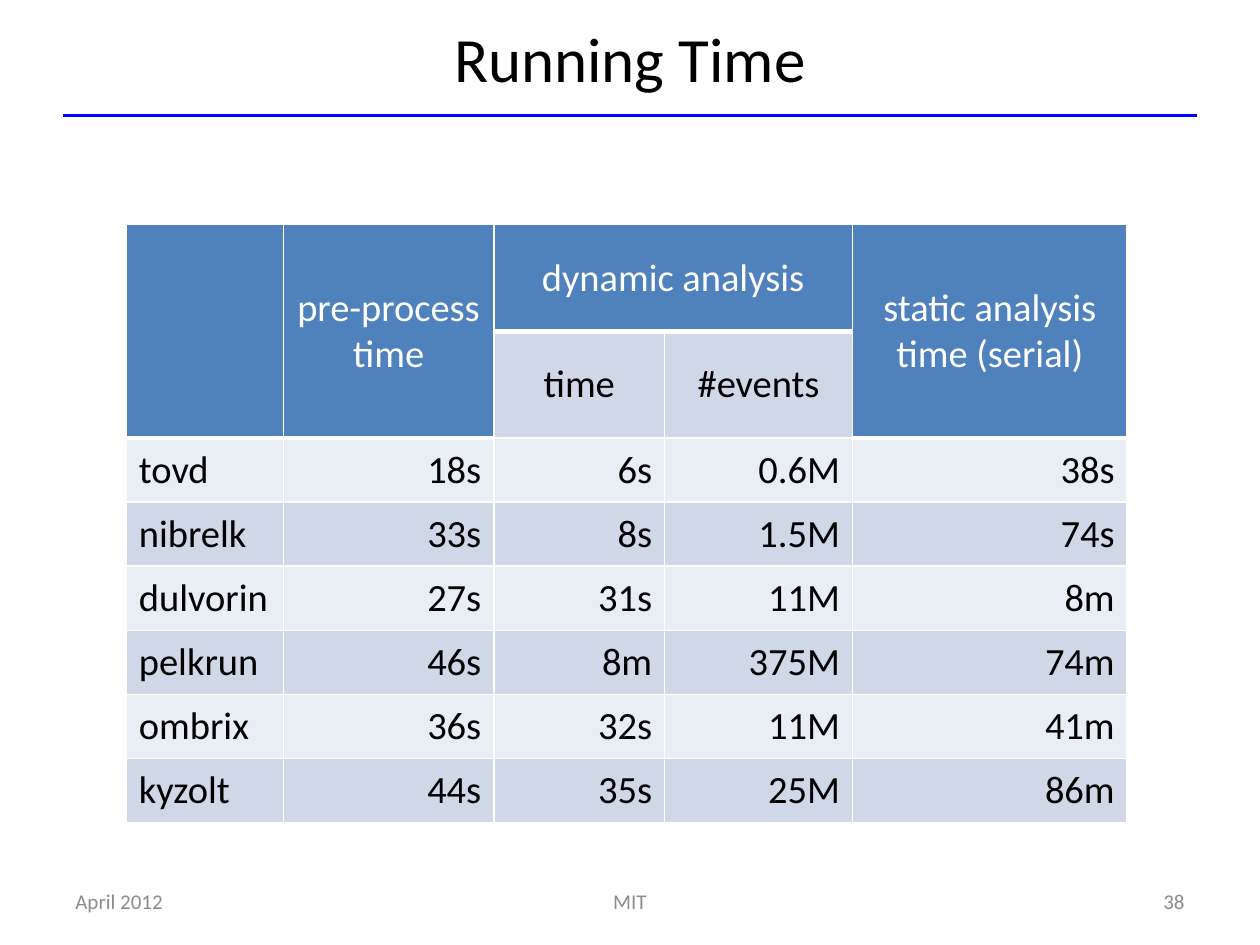
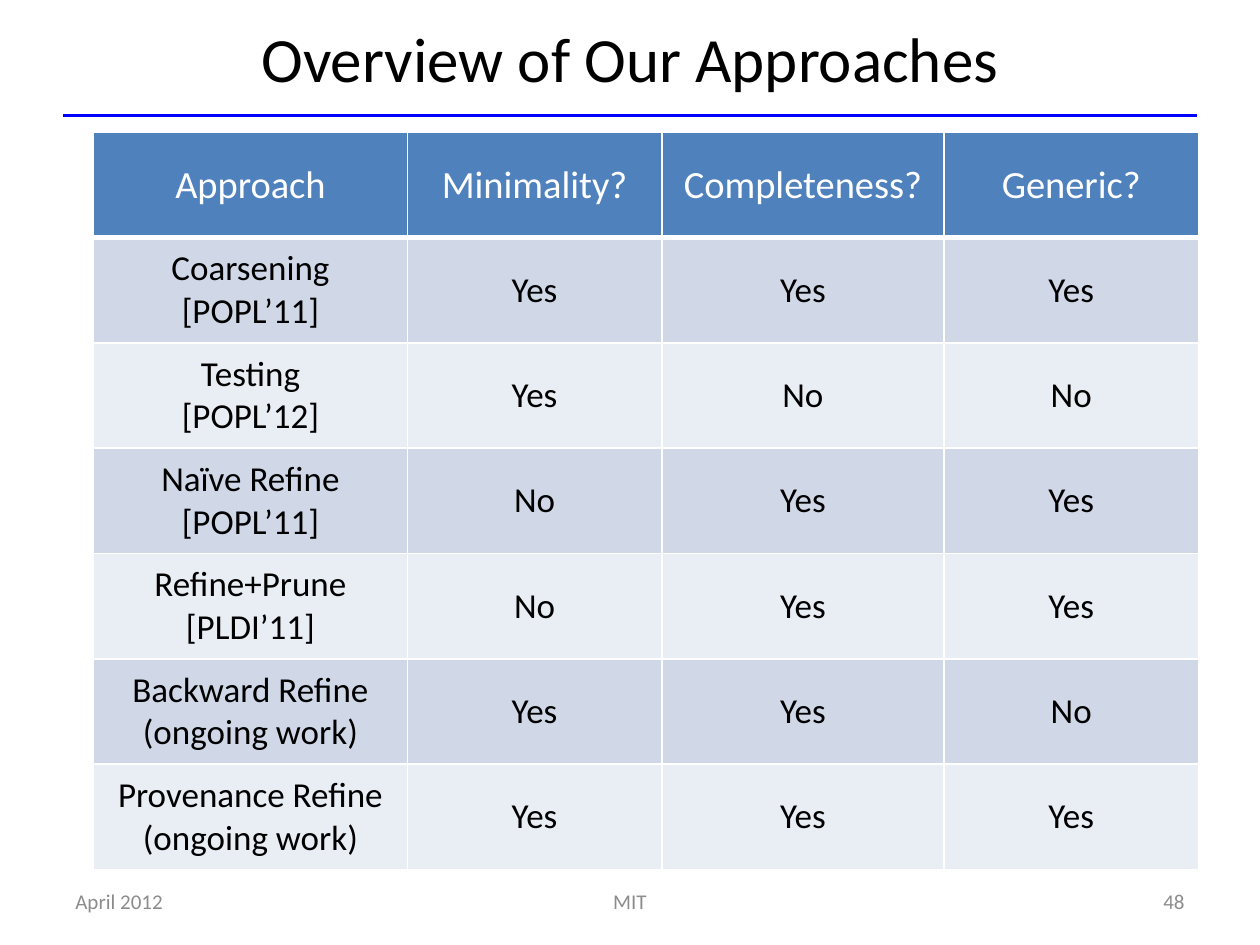
from lxml.etree import SubElement
from pptx import Presentation
from pptx.dml.color import RGBColor
from pptx.enum.shapes import MSO_CONNECTOR
from pptx.enum.text import MSO_ANCHOR, PP_ALIGN
from pptx.oxml.ns import qn
from pptx.util import Pt

COLORS = {
    "rule": "0000FF",
    "header": "4F81BD",
    "dark_band": "D0D8E8",
    "light_band": "E9EDF4",
    "text": "000000",
    "header_text": "FFFFFF",
    "border": "FFFFFF",
    "footer": "8C8C8C",
}
FONT = "Calibri"
LEFT, CENTER, RIGHT = PP_ALIGN.LEFT, PP_ALIGN.CENTER, PP_ALIGN.RIGHT
MARGIN, CONTENT_WIDTH, TITLE_HEIGHT = 36, 648, 66
FOOTER_TOP, FOOTER_HEIGHT = 500.4, 28.8
THIN, THICK = 1, 3

RUNNING_TIMES = [
    ["", "pre-process\vtime", "dynamic analysis", "", "static analysis time (serial)"],
    ["", "", "time", "#events", ""],
    ["tovd", "18s", "6s", "0.6M", "38s"],
    ["nibrelk", "33s", "8s", "1.5M", "74s"],
    ["dulvorin", "27s", "31s", "11M", "8m"],
    ["pelkrun", "46s", "8m", "375M", "74m"],
    ["ombrix", "36s", "32s", "11M", "41m"],
    ["kyzolt", "44s", "35s", "25M", "86m"],
]
TIME_SPANS = [((0, 0), (1, 0)), ((0, 1), (1, 1)), ((0, 2), (0, 3)), ((0, 4), (1, 4))]

APPROACHES = [
    ["Approach", "Minimality?", "Completeness?", "Generic?"],
    ["Coarsening\v[POPL’11]", "Yes", "Yes", "Yes"],
    ["Testing\v[POPL’12]", "Yes", "No", "No"],
    ["Naïve Refine\v[POPL’11]", "No", "Yes", "Yes"],
    ["Refine+Prune\v[PLDI’11]", "No", "Yes", "Yes"],
    ["Backward Refine\n(ongoing work)", "Yes", "Yes", "No"],
    ["Provenance Refine\v(ongoing work)", "Yes", "Yes", "Yes"],
]


def rgb(color):
    return RGBColor.from_string(COLORS[color])


def write_text(frame, text, size, color, align):
    frame.text = text
    font_format = {"name": FONT, "size": Pt(size), "bold": False}
    for para in frame.paragraphs:
        para.alignment = align
        for span in para.runs:
            for name, value in font_format.items():
                setattr(span.font, name, value)
            span.font.color.rgb = rgb(color)


def add_text(page, text, left, top, width, height, size, color, align):
    box = page.shapes.add_textbox(Pt(left), Pt(top), Pt(width), Pt(height))
    frame_format = {"word_wrap": True, "vertical_anchor": MSO_ANCHOR.MIDDLE}
    for name, value in frame_format.items():
        setattr(box.text_frame, name, value)
    write_text(box.text_frame, text, size, color, align)


def add_rule(page):
    rule = page.shapes.add_connector(
        MSO_CONNECTOR.STRAIGHT, Pt(MARGIN), Pt(TITLE_HEIGHT),
        Pt(MARGIN + CONTENT_WIDTH), Pt(TITLE_HEIGHT))
    rule.line.color.rgb = rgb("rule")
    rule.line.width = Pt(2.25)
    SubElement(rule._element.spPr, qn("a:effectLst"))


def add_footer(page, number):
    side = 168
    parts = [
        ("April 2012", MARGIN, side, LEFT),
        ("MIT", 246, 228, CENTER),
        (number, MARGIN + CONTENT_WIDTH - side, side, RIGHT),
    ]
    for text, left, width, align in parts:
        add_text(page, text, left, FOOTER_TOP, width, FOOTER_HEIGHT, 12, "footer", align)


def add_page(deck, title, number):
    page = deck.slides.add_slide(deck.slide_layouts[6])
    add_rule(page)
    add_text(page, title, MARGIN, 0, CONTENT_WIDTH, TITLE_HEIGHT, 36, "text", CENTER)
    add_footer(page, number)
    return page


def set_borders(cell, top, bottom):
    properties = cell._tc.get_or_add_tcPr()
    edges = {"a:lnL": THIN, "a:lnR": THIN, "a:lnT": top, "a:lnB": bottom}
    for position, (tag, width) in enumerate(edges.items()):
        edge = SubElement(properties, qn(tag), w=str(Pt(width)))
        fill = SubElement(edge, qn("a:solidFill"))
        SubElement(fill, qn("a:srgbClr"), val=COLORS["border"])
        properties.insert(position, edge)


def add_grid(page, rows, left, top, widths, heights, headers, spans, body_size, align_at):
    grid = page.shapes.add_table(
        len(rows), len(widths), Pt(left), Pt(top), Pt(sum(widths)), Pt(sum(heights))).table
    for name in ("first_row", "horz_banding"):
        setattr(grid, name, False)
    for column, width in zip(grid.columns, widths):
        column.width = Pt(width)
    for line, height in zip(grid.rows, heights):
        line.height = Pt(height)
    for row, texts in enumerate(rows):
        band = "dark_band" if row % 2 else "light_band"
        for col, text in enumerate(texts):
            cell = grid.cell(row, col)
            header = (row, col) in headers
            below_header = not header and (row - 1, col) in headers
            cell.vertical_anchor = MSO_ANCHOR.MIDDLE
            cell.fill.solid()
            cell.fill.fore_color.rgb = rgb("header" if header else band)
            set_borders(cell, THICK if below_header else THIN, THICK if header else THIN)
            if text:
                write_text(cell.text_frame, text, 22 if header else body_size,
                           "header_text" if header else "text", align_at(row, col))
    for first, last in spans:
        grid.cell(*first).merge(grid.cell(*last))


def align_time(row, col):
    if row < 2:
        return CENTER
    return RIGHT if col else LEFT


def align_approach(row, col):
    return CENTER


def main():
    deck = Presentation()
    deck.slide_width, deck.slide_height = Pt(720), Pt(540)

    page = add_page(deck, "Running Time", "38")
    time_headers = {cell for span in TIME_SPANS for cell in span}
    add_grid(page, RUNNING_TIMES, 72.2, 128.4, [89.8, 120.2, 97.7, 107.3, 157],
             [61] * 2 + [36.6] * 6, time_headers, TIME_SPANS, 22, align_time)

    page = add_page(deck, "Overview of Our Approaches", "48")
    approach_headers = {(0, col) for col in range(4)}
    add_grid(page, APPROACHES, 53.5, 75.6, [179.3, 145.4, 161.3, 145.4],
             [60.2] * 7, approach_headers, [], 20, align_approach)

    deck.save("out.pptx")


if __name__ == "__main__":
    main()
